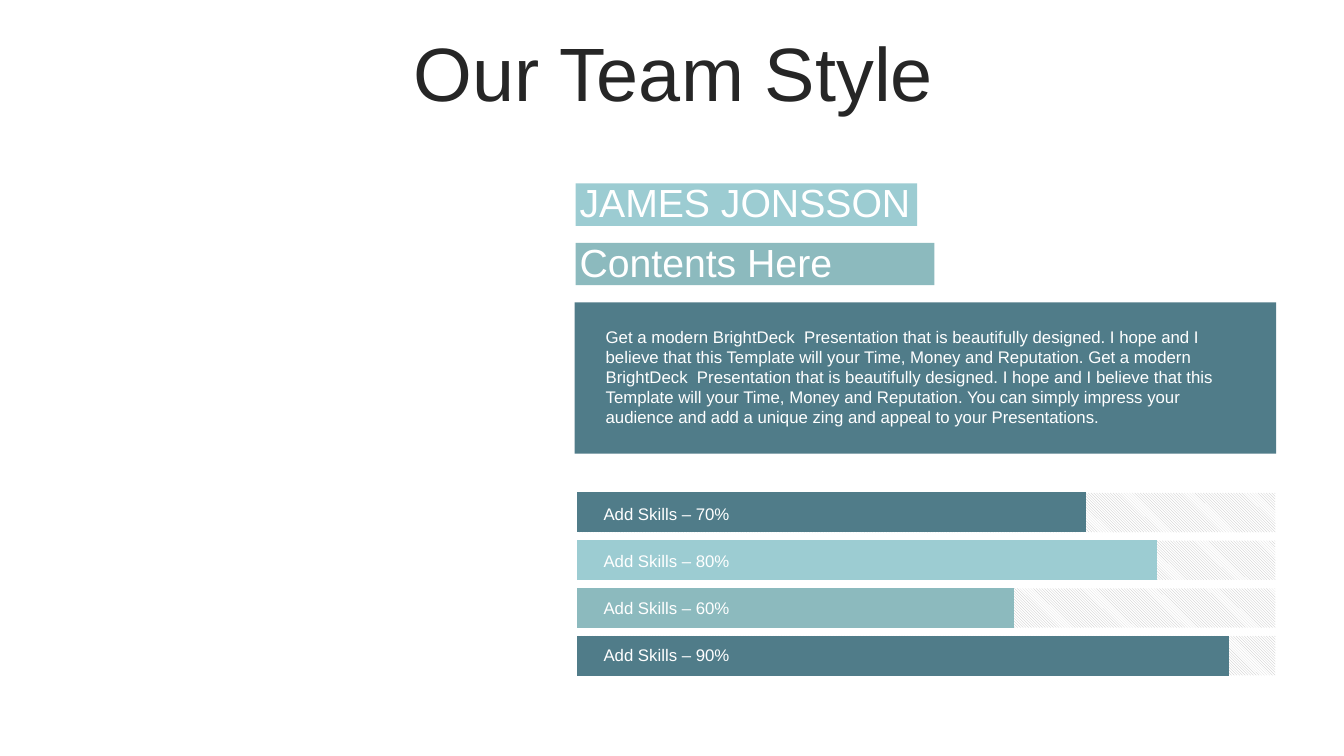
from dataclasses import dataclass

from lxml.etree import SubElement as Sub
from pptx import Presentation
from pptx.chart.data import CategoryChartData as Data
from pptx.dml.color import RGBColor as Rgb
from pptx.enum.chart import XL_CHART_TYPE as Kind
from pptx.enum.dml import MSO_PATTERN as Pat
from pptx.enum.shapes import MSO_SHAPE as Shape
from pptx.enum.text import MSO_ANCHOR as Anchor, PP_ALIGN as Align
from pptx.oxml.ns import qn
from pptx.util import Inches, Pt

WIDE, HIGH = Inches(13.33), Inches(7.5)
COLS, ROWS = 160, 90


@dataclass(frozen=True)
class Theme:
    """Colours, font and type sizes of the slide."""
    ink: str = "262626"
    white: str = "FFFFFF"
    deep: str = "507C89"
    mid: str = "8CBABE"
    pale: str = "9CCCD2"
    hatch: str = "BFBFBF"
    font: str = "Arial"
    title: int = 54
    head: int = 28
    body: int = 12


LOOK = Theme()
PITCH = ("Get a modern BrightDeck  Presentation that is beautifully designed. "
         "I hope and I believe that this Template will your Time, Money and Reputation. ")
CLOSE = ("You can simply impress your audience and add a unique zing "
         "and appeal to your Presentations.")
HEADS = [("JAMES JONSSON", 40.68, LOOK.pale), ("Contents Here", 42.72, LOOK.mid)]
SKILLS = [(70, 78, LOOK.deep), (80, 89, LOOK.pale), (60, 67, LOOK.mid), (90, 100, LOOK.deep)]


def place(col, row, cols, rows):
    """Turn grid columns and rows into slide lengths."""
    return (int(WIDE * col / COLS), int(HIGH * row / ROWS),
            int(WIDE * cols / COLS), int(HIGH * rows / ROWS))


def write(shape, text, size=LOOK.body, color=LOOK.white, align=Align.LEFT,
          anchor=Anchor.TOP, pads=None, lead=None, before=None):
    """Put formatted text into a shape."""
    frame = shape.text_frame
    frame.word_wrap = True
    frame.vertical_anchor = anchor
    if pads is not None:
        frame.margin_left = frame.margin_right = Inches(pads)
        frame.margin_top = frame.margin_bottom = 0
    para = frame.paragraphs[0]
    para.alignment, para.line_spacing, para.space_before = align, lead, before
    run = para.add_run()
    run.text = text
    run.font.name, run.font.size = LOOK.font, Pt(size)
    run.font.color.rgb = Rgb.from_string(color)


def label(slide, spot, text, **form):
    """Add a text box."""
    write(slide.shapes.add_textbox(*place(*spot)), text, **form)


def block(slide, spot, color, back=None):
    """Add a plain or hatched rectangle without outline."""
    rect = slide.shapes.add_shape(Shape.RECTANGLE, *place(*spot))
    rect.shadow.inherit = False
    rect.line.fill.background()
    if back:
        rect.fill.patterned()
        rect.fill.pattern = Pat.DARK_DOWNWARD_DIAGONAL
        rect.fill.back_color.rgb = Rgb.from_string(back)
    else:
        rect.fill.solid()
    rect.fill.fore_color.rgb = Rgb.from_string(color)
    return rect


def frame_plot(chart, **spot):
    """Fix the inner plot area as shares of the chart."""
    area = chart._chartSpace.chart.plotArea
    for old in area.findall(qn("c:layout")):
        area.remove(old)
    lay = Sub(area, qn("c:layout"))
    area.insert(0, lay)
    man = Sub(lay, qn("c:manualLayout"))
    parts = {"layoutTarget": "inner", "xMode": "edge", "yMode": "edge", **spot}
    for tag, val in parts.items():
        Sub(man, qn(f"c:{tag}")).set("val", str(val))


def graph(slide, spot, rows):
    """Add the skill bars, listed from the bottom up."""
    data = Data()
    data.categories = [str(num + 1) for num in range(len(rows))]
    data.add_series("Series 1", [val for _, val, _ in rows])
    chart = slide.shapes.add_chart(Kind.BAR_STACKED, *place(*spot), data).chart
    chart.has_title = chart.has_legend = False
    chart.font.name, chart.font.size = LOOK.font, Pt(LOOK.body)
    chart.font.color.rgb = Rgb.from_string(LOOK.ink)
    for axis in (chart.category_axis, chart.value_axis):
        axis.has_major_gridlines = axis.visible = False
    chart.value_axis.minimum_scale, chart.value_axis.maximum_scale = 0, 111
    plot = chart.plots[0]
    plot.gap_width, plot.overlap, plot.vary_by_categories = 20, 100, False
    for num, (_, _, color) in enumerate(rows):
        fill = plot.series[0].points[num].format.fill
        fill.solid()
        fill.fore_color.rgb = Rgb.from_string(color)
    frame_plot(chart, x=0.039, y=0.121, w=0.947, h=0.867)


def main():
    """Build and save the slide."""
    deck = Presentation()
    deck.slide_width, deck.slide_height = WIDE, HIGH
    slide = deck.slides.add_slide(deck.slide_layouts[6])
    label(slide, (4.2, 4.44, 151.92, 9.48), "Our Team Style", size=LOOK.title,
          color=LOOK.ink, align=Align.CENTER, anchor=Anchor.MIDDLE, lead=0.9, before=Pt(10))
    for num in range(len(SKILLS)):
        block(slide, (68.9, 58.68 + 5.68 * num, 82.92, 4.68), LOOK.hatch, back=LOOK.white)
    graph(slide, (65.16, 54.96, 90.96, 26.28), SKILLS[::-1])
    for num, (text, cols, color) in enumerate(HEADS):
        tag = block(slide, (68.52, 21.84 + 7.08 * num, cols, 5.04), color)
        write(tag, text, size=LOOK.head, anchor=Anchor.MIDDLE, pads=0.04, lead=Pt(30))
    block(slide, (68.4, 36, 83.52, 18), LOOK.deep)
    label(slide, (70.92, 38.28, 78.48, 13.32), PITCH * 2 + CLOSE)
    for num, (rate, _, _) in enumerate(SKILLS):
        label(slide, (71.85, 60 + 5.6 * num, 26.76, 2.4), f"Add Skills – {rate}%", pads=0)
    deck.save("out.pptx")


if __name__ == "__main__":
    main()
